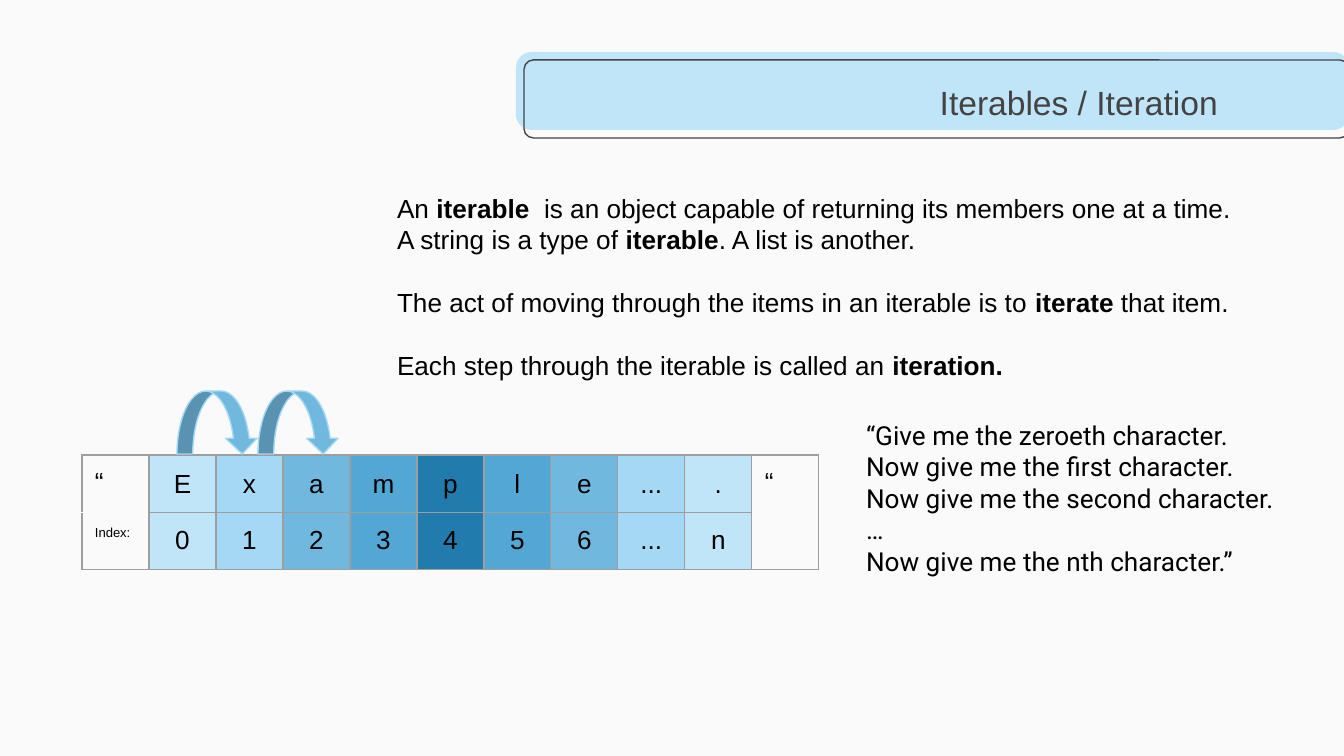
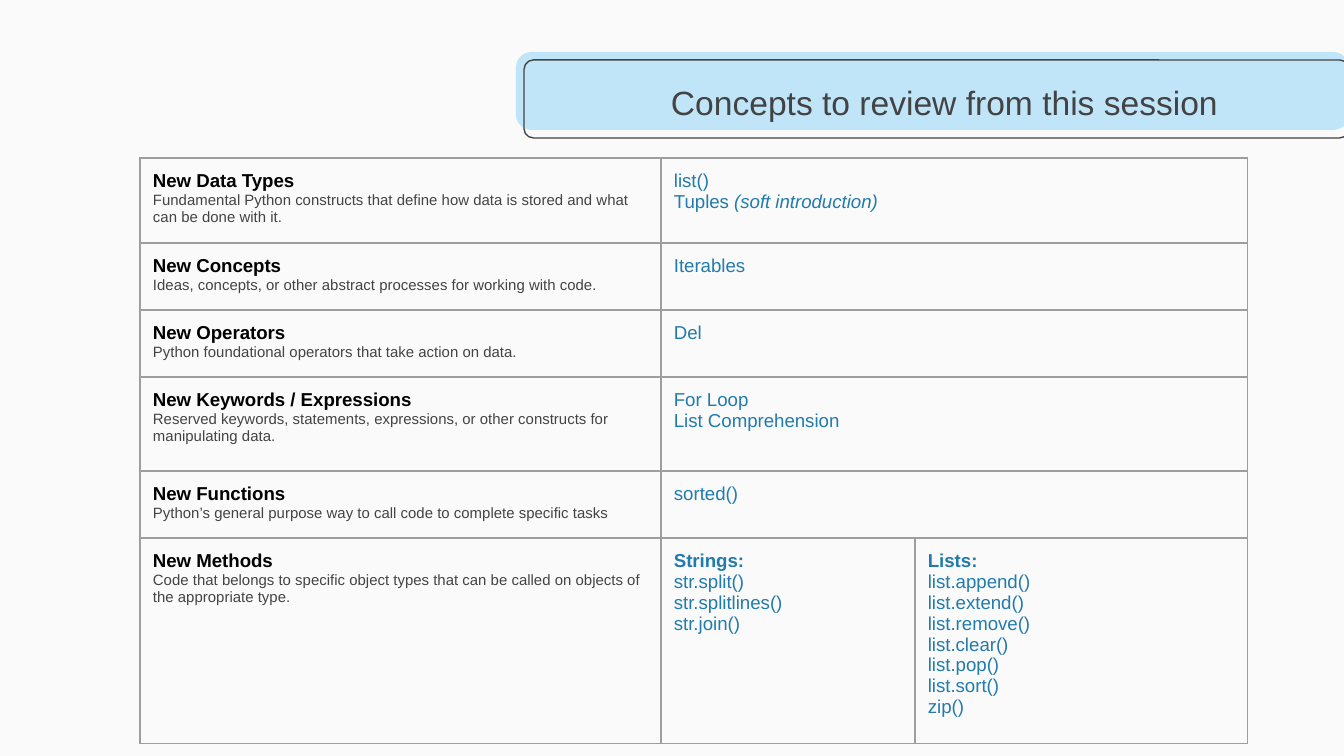
from dataclasses import dataclass, replace
from typing import Any, Optional

from lxml.etree import SubElement
from pptx import Presentation
from pptx.dml.color import RGBColor
from pptx.enum.shapes import MSO_SHAPE
from pptx.enum.text import MSO_ANCHOR, MSO_AUTO_SIZE, PP_ALIGN
from pptx.oxml.ns import qn
from pptx.util import Pt

PX = 6804  # EMU
SLIDE_W, SLIDE_H = 1344, 756
INSET = 13
TITLE_RIGHT = 1231

PAPER = RGBColor(0xFA, 0xFA, 0xFA)
INK = RGBColor(0x43, 0x43, 0x43)
BLACK = RGBColor(0, 0, 0)
GRID = RGBColor(0x9E, 0x9E, 0x9E)
ICE = RGBColor(0xC1, 0xE5, 0xF8)
SKY = RGBColor(0xA4, 0xD8, 0xF4)
AZURE = RGBColor(0x71, 0xB8, 0xDF)
BLUE = RGBColor(0x53, 0xA7, 0xD5)
DEEP = RGBColor(0x21, 0x7B, 0xAC)

MARGINS = {f"margin_{side}": INSET * PX for side in ("left", "top", "right", "bottom")}


@dataclass(frozen=True)
class Box:
    x: int
    y: int
    w: int
    h: int

    def emu(self) -> tuple[int, ...]:
        return tuple(v * PX for v in (self.x, self.y, self.w, self.h))


@dataclass(frozen=True)
class Style:
    size: int
    color: RGBColor = BLACK
    bold: bool = False
    italic: bool = False
    font: str = "Arial"


@dataclass(frozen=True)
class Run:
    text: str
    style: Style


@dataclass(frozen=True)
class Para:
    runs: tuple[Run, ...]
    format: Optional[dict[str, Any]] = None


@dataclass(frozen=True)
class Concept:
    name: str
    meaning: str
    height: int
    cells: tuple[tuple[Para, ...], ...]


TITLE = Style(18, INK)
BODY = Style(14)
STRONG = replace(BODY, bold=True)
QUOTE = replace(BODY, font="Roboto")
INDEX = Style(7)
HEADING = Style(10, bold=True)
MEANING = Style(8, INK)
ENTRY = Style(10, DEEP)
ENTRY_STRONG = replace(ENTRY, bold=True)
ENTRY_ASIDE = replace(ENTRY, italic=True)

LEADING = {"line_spacing": Pt(16.9)}
NEW_BLOCK = LEADING | {"space_before": Pt(16.9)}
CENTER = {"alignment": PP_ALIGN.CENTER}


def set_all(obj: Any, values: dict[str, Any]) -> None:
    for name, value in values.items():
        setattr(obj, name, value)


def line(text: str, style: Style, fmt: Optional[dict[str, Any]] = None) -> Para:
    return Para((Run(text, style),), fmt)


def lines(style: Style, *texts: str) -> tuple[Para, ...]:
    return tuple(line(text, style) for text in texts)


def mixed(fmt: dict[str, Any], *texts: str) -> Para:
    """Body paragraph whose every second piece is bold."""
    return Para(tuple(Run(t, STRONG if i % 2 else BODY) for i, t in enumerate(texts)), fmt)


def write(tf: Any, paras: tuple[Para, ...]) -> None:
    for i, para in enumerate(paras):
        p = tf.add_paragraph() if i else tf.paragraphs[0]
        set_all(p, para.format or {})
        for run in para.runs:
            r = p.add_run()
            r.text = run.text
            st = run.style
            set_all(r.font, {"name": st.font, "size": Pt(st.size),
                             "bold": st.bold, "italic": st.italic})
            r.font.color.rgb = st.color


def add_text(s: Any, box: Box, paras: tuple[Para, ...], **frame: Any) -> None:
    tf = s.shapes.add_textbox(*box.emu()).text_frame
    set_all(tf, MARGINS | {"word_wrap": True} | frame)
    write(tf, paras)


def add_shape(s: Any, kind: MSO_SHAPE, box: Box, fill: Optional[RGBColor] = None,
              stroke: Optional[RGBColor] = None, corner: Optional[float] = None) -> None:
    sp = s.shapes.add_shape(kind, *box.emu())
    sp.shadow.inherit = False
    if corner is not None:
        sp.adjustments[0] = corner
    for part, color in ((sp.fill, fill), (sp.line.fill, stroke)):
        if color is None:
            part.background()
        else:
            part.solid()
            part.fore_color.rgb = color
    if stroke is not None:
        sp.line.width = Pt(0.75)


def add_table(s: Any, x: int, y: int, cols: list[int], rows: list[int]) -> Any:
    box = Box(x, y, sum(cols), sum(rows))
    table = s.shapes.add_table(len(rows), len(cols), *box.emu()).table
    set_all(table, {"first_row": False, "horz_banding": False})
    for col, w in zip(table.columns, cols):
        col.width = w * PX
    for row, h in zip(table.rows, rows):
        row.height = h * PX
    for cell in table.iter_cells():
        set_all(cell, MARGINS)
        add_borders(cell)
        cell.fill.background()
    return table


def add_borders(cell: Any) -> None:
    tcPr = cell._tc.get_or_add_tcPr()
    for side in "LRTB":
        ln = SubElement(tcPr, qn(f"a:ln{side}"), w=str(Pt(0.75)))
        fill = SubElement(ln, qn("a:solidFill"))
        SubElement(fill, qn("a:srgbClr"), val=str(GRID))


def recolor_border(cell: Any, side: str, color: RGBColor) -> None:
    clr = cell._tc.tcPr.find(f"{qn(f'a:ln{side}')}//{qn('a:srgbClr')}")
    clr.set("val", str(color))


def add_page(prs: Any, title: str, title_width: int) -> Any:
    """Add a slide with the shared background, band and title."""
    s = prs.slides.add_slide(prs.slide_layouts[6])
    s.background.fill.solid()
    s.background.fill.fore_color.rgb = PAPER
    rounded = MSO_SHAPE.ROUNDED_RECTANGLE
    add_shape(s, rounded, Box(516, 52, 833, 78), fill=ICE, corner=0.2)
    add_shape(s, rounded, Box(524, 60, 825, 78), stroke=INK, corner=0.12)
    add_text(s, Box(TITLE_RIGHT - title_width, 67, title_width, 71),
             (line(title, TITLE, {"alignment": PP_ALIGN.RIGHT}),),
             vertical_anchor=MSO_ANCHOR.MIDDLE)
    return s


LETTERS = ("E", "x", "a", "m", "p", "l", "e", "...", ".")
INDEXES = ("0", "1", "2", "3", "4", "5", "6", "...", "n")
SHADES = (ICE, SKY, AZURE, BLUE, DEEP, BLUE, AZURE, SKY, ICE)

DEFINITIONS = (
    mixed(LEADING, "An ", "iterable ",
          " is an object capable of returning its members one at a time."),
    mixed(LEADING, "A string is a type of ", "iterable", ". A list is another."),
    mixed(NEW_BLOCK, "The act of moving through the items in an iterable is to ",
          "iterate", " that item."),
    mixed(NEW_BLOCK, "Each step through the iterable is called an ", "iteration."),
)
REQUESTS = tuple(line(text, QUOTE, LEADING) for text in (
    "“Give me the zeroeth character.",
    "Now give me the first character.",
    "Now give me the second character.",
    "…",
    "Now give me the nth character.”",
))

CONCEPTS = (
    Concept("New Data Types",
            "Fundamental Python constructs that define how data is stored "
            "and what can be done with it.", 85,
            ((line("list()", ENTRY),
              Para((Run("Tuples ", ENTRY), Run("(soft introduction)", ENTRY_ASIDE)))),)),
    Concept("New Concepts",
            "Ideas, concepts, or other abstract processes for working with code.", 67,
            (lines(ENTRY, "Iterables"),)),
    Concept("New Operators",
            "Python foundational operators that take action on data.", 67,
            (lines(ENTRY, "Del"),)),
    Concept("New Keywords / Expressions",
            "Reserved keywords, statements, expressions, or other constructs "
            "for manipulating data.", 94,
            (lines(ENTRY, "For Loop", "List Comprehension"),)),
    Concept("New Functions",
            "Python’s general purpose way to call code to complete specific tasks", 67,
            (lines(ENTRY, "sorted()"),)),
    Concept("New Methods",
            "Code that belongs to specific object types that can be called "
            "on objects of the appropriate type.", 184,
            (lines(ENTRY_STRONG, "Strings:")
             + lines(ENTRY, "str.split()", "str.splitlines()", "str.join()"),
             lines(ENTRY_STRONG, "Lists:")
             + lines(ENTRY, "list.append()", "list.extend()", "list.remove()",
                     "list.clear()", "list.pop()", "list.sort()", "zip()"))),
)


def add_string_table(s: Any) -> None:
    table = add_table(s, 82, 455, [67] * (len(LETTERS) + 2), [56] * 2)
    last = len(LETTERS) + 1
    table.cell(0, last).merge(table.cell(1, last))
    for row, col, text, style in ((0, 0, "“", BODY), (1, 0, "Index:", INDEX),
                                  (0, last, "“", BODY)):
        write(table.cell(row, col).text_frame, lines(style, text))
    recolor_border(table.cell(0, 0), "B", PAPER)
    recolor_border(table.cell(1, 0), "T", PAPER)
    for row, texts in enumerate((LETTERS, INDEXES)):
        for col, (text, shade) in enumerate(zip(texts, SHADES), start=1):
            cell = table.cell(row, col)
            cell.fill.solid()
            cell.fill.fore_color.rgb = shade
            cell.vertical_anchor = MSO_ANCHOR.TOP if row else MSO_ANCHOR.BOTTOM
            write(cell.text_frame, (line(text, BODY, CENTER),))


def add_iteration_slide(prs: Any) -> None:
    s = add_page(prs, "Iterables / Iteration", 469)
    add_string_table(s)
    for step in range(2):
        add_shape(s, MSO_SHAPE.CURVED_DOWN_ARROW, Box(177 + 81 * step, 391, 81, 63),
                  fill=AZURE, stroke=SKY)
    for box, paras in ((Box(384, 179, 934, 218), DEFINITIONS),
                       (Box(853, 406, 574, 185), REQUESTS)):
        add_text(s, box, paras, auto_size=MSO_AUTO_SIZE.SHAPE_TO_FIT_TEXT)


def add_review_slide(prs: Any) -> None:
    s = add_page(prs, "Concepts to review from this session", 603)
    table = add_table(s, 140, 158, [521, 254, 333], [c.height for c in CONCEPTS])
    for row, concept in enumerate(CONCEPTS):
        if len(concept.cells) == 1:
            table.cell(row, 1).merge(table.cell(row, 2))
        label = (line(concept.name, HEADING), line(concept.meaning, MEANING))
        for col, paras in enumerate((label, *concept.cells)):
            write(table.cell(row, col).text_frame, paras)


def main() -> None:
    prs = Presentation()
    set_all(prs, {"slide_width": SLIDE_W * PX, "slide_height": SLIDE_H * PX})
    add_iteration_slide(prs)
    add_review_slide(prs)
    prs.save("out.pptx")


if __name__ == "__main__":
    main()
